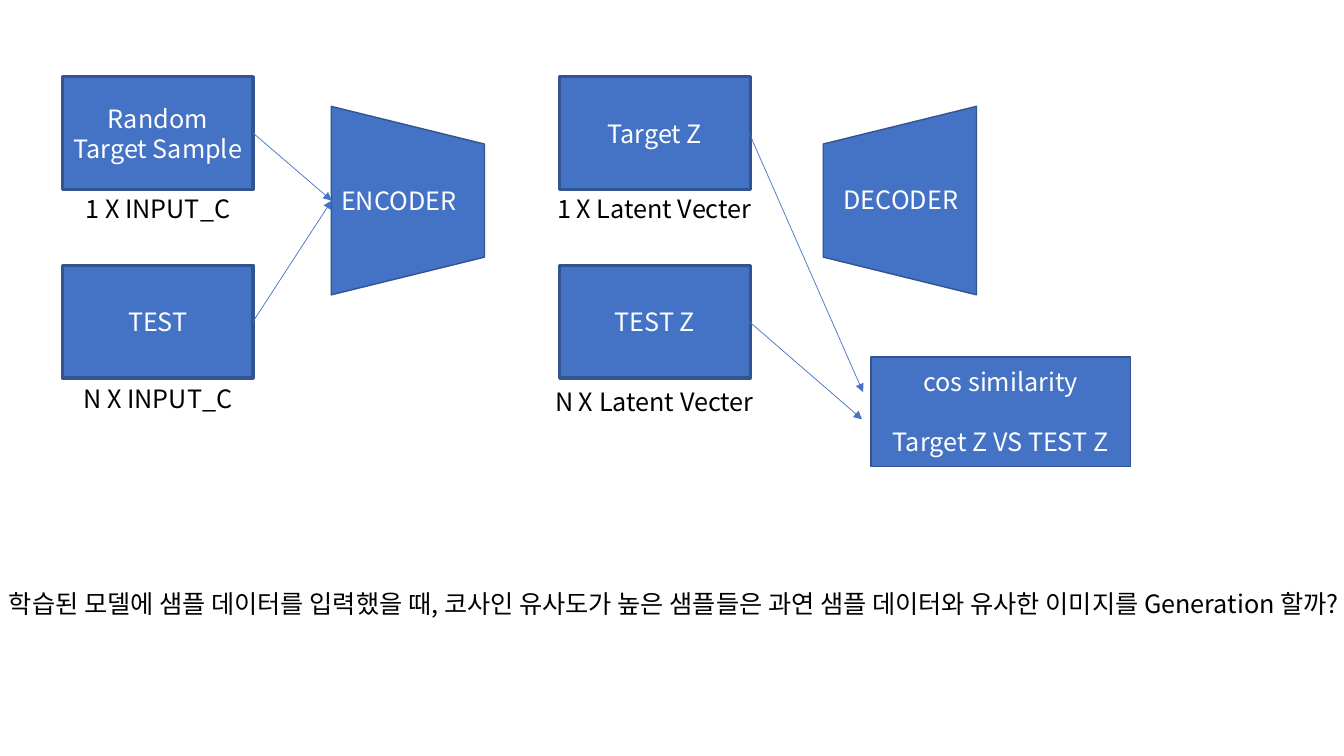
from lxml.etree import SubElement
from pptx import Presentation
from pptx.dml.color import RGBColor
from pptx.enum.shapes import MSO_CONNECTOR, MSO_SHAPE
from pptx.enum.text import MSO_ANCHOR, PP_ALIGN
from pptx.oxml.ns import qn
from pptx.util import Inches, Pt

BLUE = RGBColor(0x44, 0x72, 0xC4)
DARK_BLUE = RGBColor(0x32, 0x54, 0x91)
WHITE = RGBColor(0xFF, 0xFF, 0xFF)
BLACK = RGBColor(0x00, 0x00, 0x00)
FONT = "Noto Sans CJK KR"

INPUT_LEFT, LATENT_LEFT = 0.62, 5.55
TARGET_TOP, TEST_TOP = 0.76, 2.63
BOX_WIDTH, BOX_HEIGHT = 1.89, 1.12
QUESTION = (
    "학습된 모델에 샘플 데이터를 입력했을 때, 코사인 유사도가 높은 샘플들은 "
    "과연 샘플 데이터와 유사한 이미지를 Generation 할까?"
)


def write_text(shape, lines, color, alignment=PP_ALIGN.CENTER, gap=0):
    frame = shape.text_frame
    frame.word_wrap = True
    frame.text = "\n".join(lines)
    for index, paragraph in enumerate(frame.paragraphs):
        paragraph.alignment = alignment
        paragraph.space_before = Pt(gap if index else 0)
        paragraph.font.size = Pt(18)
        paragraph.font.color.rgb = color
        paragraph.font.name = FONT
        properties = paragraph._p.pPr.find(qn("a:defRPr"))
        SubElement(properties, qn("a:ea"), typeface=FONT)


def add_block(slide, kind, left, top, width, height, lines=(), line_width=1, gap=0):
    shape = slide.shapes.add_shape(
        kind, Inches(left), Inches(top), Inches(width), Inches(height)
    )
    shape.shadow.inherit = False
    shape.fill.solid()
    shape.fill.fore_color.rgb = BLUE
    shape.line.color.rgb = DARK_BLUE
    shape.line.width = Pt(line_width)
    if lines:
        shape.text_frame.vertical_anchor = MSO_ANCHOR.MIDDLE
        write_text(shape, lines, WHITE, gap=gap)
    return shape


def add_label(slide, text, left, top, width, height=0.4, color=BLACK,
              alignment=PP_ALIGN.CENTER):
    label = slide.shapes.add_textbox(
        Inches(left), Inches(top), Inches(width), Inches(height)
    )
    write_text(label, [text], color, alignment)


def add_arrow(slide, start, end):
    arrow = slide.shapes.add_connector(
        MSO_CONNECTOR.STRAIGHT, *[Inches(value) for value in start + end]
    )
    arrow.line.color.rgb = BLUE
    arrow.line.width = Pt(0.5)
    SubElement(arrow.line._get_or_add_ln(), qn("a:tailEnd"), type="triangle")
    SubElement(arrow._element.spPr, qn("a:effectLst"))


def add_coder(slide, left, rotation, lines=()):
    coder = add_block(
        slide, MSO_SHAPE.FLOWCHART_MANUAL_OPERATION, left, 1.23, 1.87, 1.52, lines
    )
    coder.rotation = rotation
    return coder


def main():
    presentation = Presentation()
    presentation.slide_width = Inches(13.33)
    presentation.slide_height = Inches(7.5)
    slide = presentation.slides.add_slide(presentation.slide_layouts[6])

    for left, top, lines in (
        (INPUT_LEFT, TARGET_TOP, ["Random", "Target Sample"]),
        (LATENT_LEFT, TARGET_TOP, ["Target Z"]),
        (INPUT_LEFT, TEST_TOP, ["TEST"]),
        (LATENT_LEFT, TEST_TOP, ["TEST Z"]),
    ):
        add_block(slide, MSO_SHAPE.RECTANGLE, left, top, BOX_WIDTH, BOX_HEIGHT,
                  lines, line_width=2.25)

    encoder = add_coder(slide, 3.11, 270, ["ENCODER"])
    encoder.text_frame._txBody.bodyPr.set("vert", "eaVert")
    add_coder(slide, 7.99, 90)
    add_label(slide, "DECODER", 8.18, 1.78, 1.51, color=WHITE)

    for text, left, top, width in (
        ("1 X INPUT_C", INPUT_LEFT, 1.87, BOX_WIDTH),
        ("N X INPUT_C", INPUT_LEFT, 3.75, BOX_WIDTH),
        ("1 X Latent Vecter", 5.17, 1.87, 2.64),
        ("N X Latent Vecter", 5.17, 3.78, 2.64),
    ):
        add_label(slide, text, left, top, width)

    add_block(slide, MSO_SHAPE.RECTANGLE, 8.64, 3.54, 2.57, 1.09,
              ["cos similarity", "Target Z VS TEST Z"], gap=21.4)
    add_label(slide, QUESTION, -0.01, 5.79, 13.34, 0.71, alignment=PP_ALIGN.LEFT)

    for start, end in (
        ((7.43, 1.32), (8.56, 3.89)),
        ((7.43, 3.19), (8.55, 4.16)),
        ((2.51, 1.32), (3.29, 1.99)),
        ((2.51, 3.19), (3.29, 1.99)),
    ):
        add_arrow(slide, start, end)

    presentation.save("out.pptx")


main()
